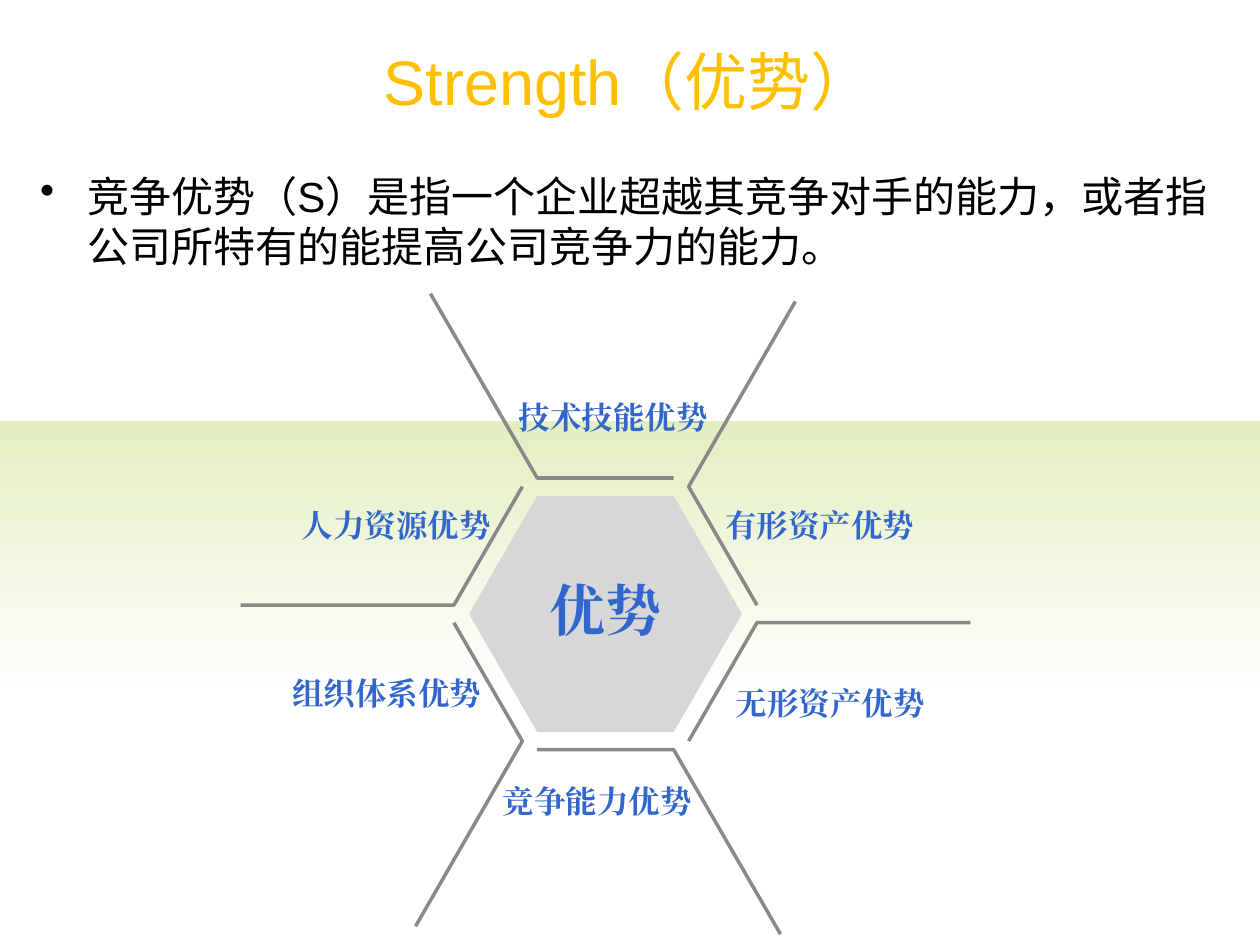
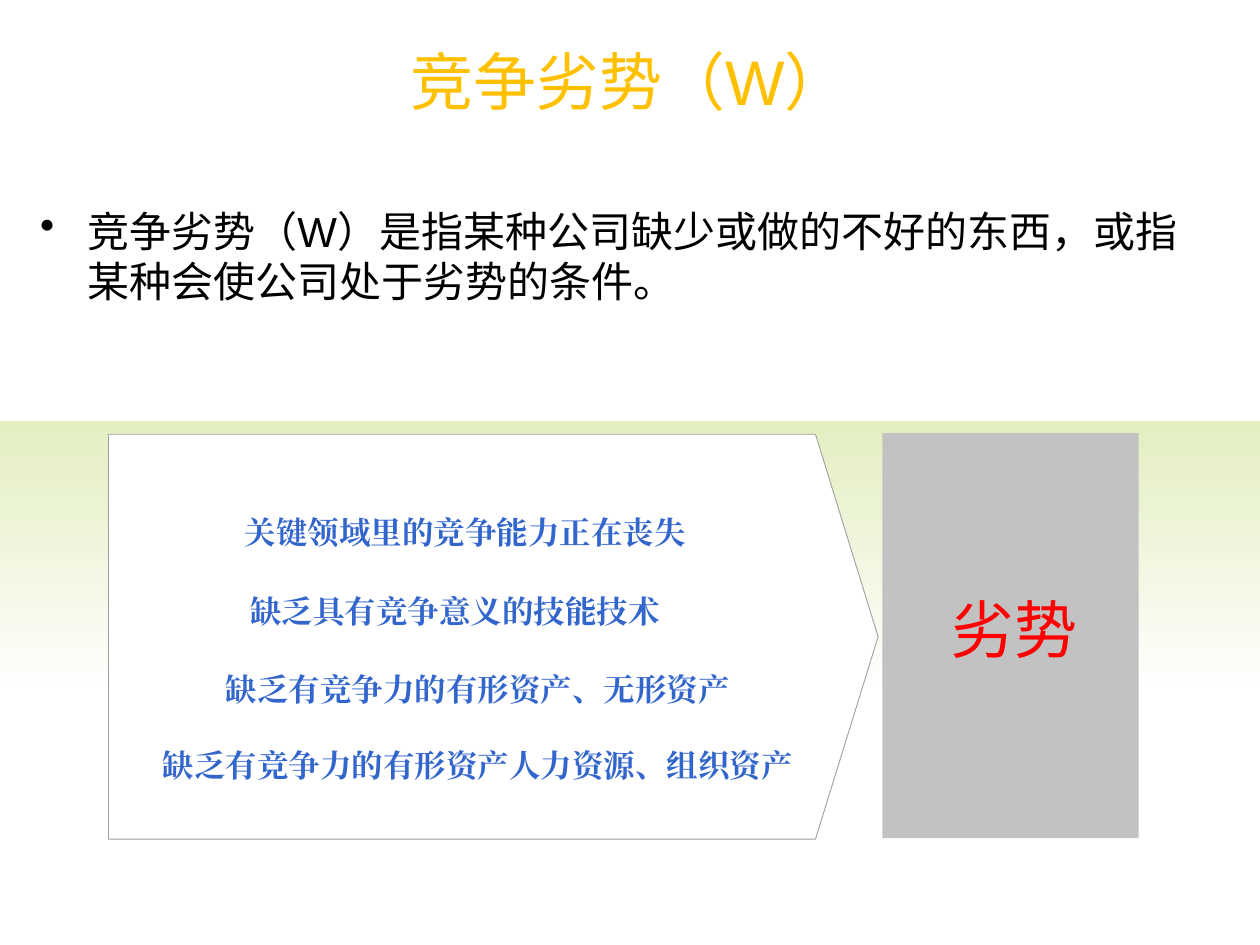
from lxml import etree
from pptx import Presentation
from pptx.dml.color import RGBColor
from pptx.enum.shapes import MSO_SHAPE
from pptx.enum.text import MSO_ANCHOR, PP_ALIGN
from pptx.oxml.ns import qn
from pptx.util import Pt

RECT = MSO_SHAPE.RECTANGLE
MIDDLE = MSO_ANCHOR.MIDDLE
TOP = MSO_ANCHOR.TOP
LEFT, CENTER, RIGHT = PP_ALIGN.LEFT, PP_ALIGN.CENTER, PP_ALIGN.RIGHT

SANS, SERIF = "Arial", "Times New Roman"
GOLD = RGBColor(0xFF, 0xC0, 0x00)
BLACK = RGBColor(0x00, 0x00, 0x00)
WHITE = RGBColor(0xFF, 0xFF, 0xFF)
BLUE = RGBColor(0x33, 0x66, 0xCC)
RED = RGBColor(0xFF, 0x00, 0x00)
LIME = RGBColor(0xE3, 0xEE, 0xC1)
SILVER = RGBColor(0xD7, 0xD7, 0xD7)
PALE = RGBColor(0xD9, 0xD9, 0xD9)
GRAY = RGBColor(0xC2, 0xC2, 0xC2)
EDGE = RGBColor(0x9F, 0x9F, 0x9F)
WIRE = RGBColor(0x89, 0x89, 0x89)

HUB_X, HUB_Y = 346, 350.8
HEX = [(-39, 67.5), (-78, 0), (-39, -67.5), (39, -67.5), (78, 0), (39, 67.5)]
WINGS = [
    [(-47.5, -72.7), (-86.6, -5), (-208.5, -5)],
    [(-86.6, 5), (-47.5, 72.7), (-108.5, 178.5)],
    [(-39, 77.6), (39, 77.6), (100, 183)],
]
ASPECTS = [
    ("技术技能优势", 289.3, 224),
    ("有形资产优势", 407.5, 285.8),
    ("无形资产优势", 413.3, 387.4),
    ("竞争能力优势", 280.1, 443.5),
    ("组织体系优势", 160, 381.6),
    ("人力资源优势", 165.4, 285.8),
]


def style(para, size, color, name, bold=False):
    """Format every run of a paragraph."""
    for run in para.runs:
        font = run.font
        font.size, font.bold, font.name = Pt(size), bold, name
        font.color.rgb = color
        etree.SubElement(run._r.get_or_add_rPr(), qn("a:ea"), typeface=name)


def add_text(slide, box, lines, size, color, name, bold=False, align=LEFT,
             inset=(0, 0), wrap=True, anchor=TOP, gap=0):
    """Add a text box with one paragraph per line and return its frame."""
    frame = slide.shapes.add_textbox(*map(Pt, box)).text_frame
    frame.word_wrap, frame.vertical_anchor = wrap, anchor
    frame.margin_left = frame.margin_right = Pt(inset[0])
    frame.margin_top = frame.margin_bottom = Pt(inset[1])
    frame.text = "\n".join(lines)
    for index, para in enumerate(frame.paragraphs):
        para.alignment = align
        if index:
            para.space_before = Pt(gap)
        style(para, size, color, name, bold)
    return frame


def add_bullet(slide, top, text):
    """Add the bulleted statement below the title."""
    frame = add_text(slide, (23, top, 671, 70), [text], 24, BLACK, SANS)
    props = frame.paragraphs[0]._p.get_or_add_pPr()
    props.set("marL", str(Pt(27)))
    props.set("indent", str(-Pt(27)))
    tint = etree.SubElement(props, qn("a:buClr"))
    etree.SubElement(tint, qn("a:srgbClr"), val=str(BLACK))
    etree.SubElement(props, qn("a:buChar"), char="•")


def shade(shape, first, last):
    """Fill a shape with a gradient from top to bottom."""
    shape.fill.gradient()
    shape.fill.gradient_angle = 270
    for stop, color in zip(shape.fill.gradient_stops, (first, last)):
        stop.color.rgb = color


def add_rect(slide, box):
    """Add a plain rectangle without an outline."""
    shape = slide.shapes.add_shape(RECT, *map(Pt, box))
    shape.shadow.inherit = False
    shape.line.fill.background()
    return shape


def add_path(slide, points, close=False):
    """Add an outline through points given in points."""
    start, *rest = [(Pt(x), Pt(y)) for x, y in points]
    pen = slide.shapes.build_freeform(*start)
    pen.add_line_segments(rest, close=close)
    shape = pen.convert_to_shape()
    shape.shadow.inherit = False
    return shape


def around(points, sign=1):
    """Place points about the hub, turned half round if sign is -1."""
    return [(HUB_X + sign * x, HUB_Y + sign * y) for x, y in points]


def add_wing(slide, points):
    """Add one bent line beside the hexagon."""
    shape = add_path(slide, points)
    shape.fill.background()
    shape.line.color.rgb = WIRE
    shape.line.width = Pt(2)


def add_page(deck, title, top, text):
    """Add a slide with band, title and statement."""
    slide = deck.slides.add_slide(deck.slide_layouts[6])
    shade(add_rect(slide, (0, 240.5, 720, 157.5)), LIME, WHITE)
    add_text(slide, (23.8, 20.2, 671, 51), [title], 36, GOLD, SANS,
             align=CENTER, inset=(0, 3.6), anchor=MIDDLE)
    add_bullet(slide, top, text)
    return slide


def add_hub(slide):
    """Draw the hexagon, its wings and their labels."""
    core = add_path(slide, around(HEX), close=True)
    core.line.fill.background()
    shade(core, SILVER, PALE)
    for wing in WINGS:
        for sign in (1, -1):
            add_wing(slide, around(wing, sign))
    look = dict(color=BLUE, name=SERIF, bold=True, inset=(7.2, 3.6), wrap=False)
    add_text(slide, (306.7, 325.4, 78.5, 46), ["优势"], 32, **look)
    for label, left, top in ASPECTS:
        add_text(slide, (left, top, 122.4, 29), [label], 18, **look)


def add_flaws(slide):
    """Draw the arrow panel of weaknesses and its target."""
    left, tip, top, base = 62, 501.8, 248.2, 479.5
    neck, mid = 466, (top + base) / 2
    panel = add_path(slide, [(left, top), (neck, top), (tip, mid),
                             (neck, base), (left, base)], close=True)
    panel.fill.solid()
    panel.fill.fore_color.rgb = WHITE
    panel.line.color.rgb = EDGE
    panel.line.width = Pt(0.5)
    goal = add_rect(slide, (504.2, 247.5, 146.4, 231.5))
    goal.fill.solid()
    goal.fill.fore_color.rgb = GRAY
    look = dict(size=18, color=BLUE, name=SERIF, bold=True, align=CENTER)
    add_text(slide, (95.8, 293, 340, 21.6), ["关键领域里的竞争能力正在丧失"], **look)
    add_text(slide, (90, 338.4, 340, 21.6), ["缺乏具有竞争意义的技能技术"], **look)
    add_text(slide, (90, 383, 366, 65), ["缺乏有竞争力的有形资产、无形资产",
             "缺乏有竞争力的有形资产人力资源、组织资产"], gap=21.6, **look)
    add_text(slide, (506.2, 337.7, 109.4, 43.2), ["劣势"], 36, RED, SANS,
             align=RIGHT, anchor=MIDDLE)


def main():
    """Build and save the two slides."""
    deck = Presentation()
    deck.slide_width, deck.slide_height = Pt(720), Pt(540)
    add_hub(add_page(
        deck, "Strength（优势）", 97.2,
        "竞争优势（S）是指一个企业超越其竞争对手的能力，或者指公司所特有的能提高公司竞争力的能力。"))
    add_flaws(add_page(
        deck, "竞争劣势（W）", 117.4,
        "竞争劣势（W）是指某种公司缺少或做的不好的东西，或指某种会使公司处于劣势的条件。"))
    deck.save("out.pptx")


if __name__ == "__main__":
    main()
